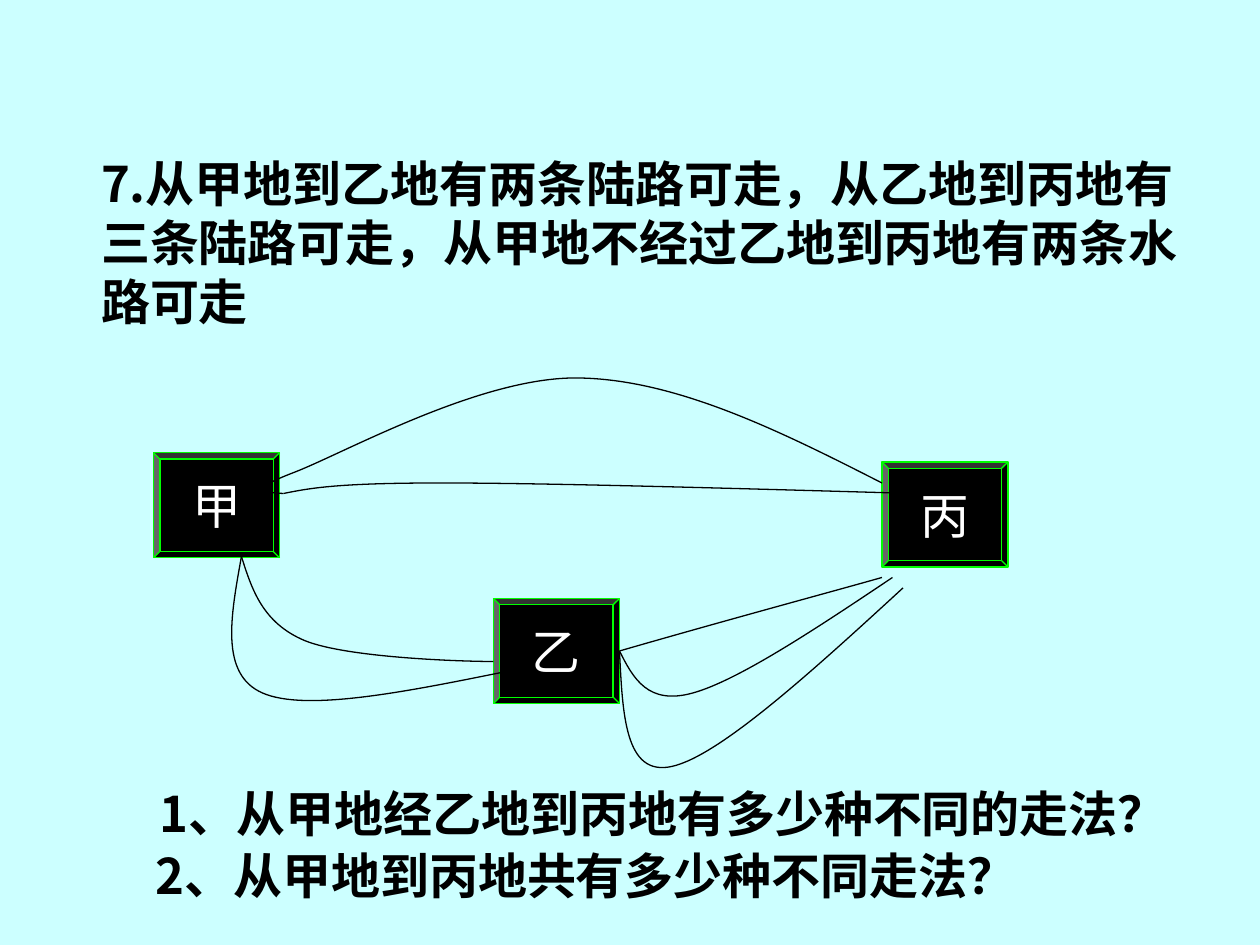
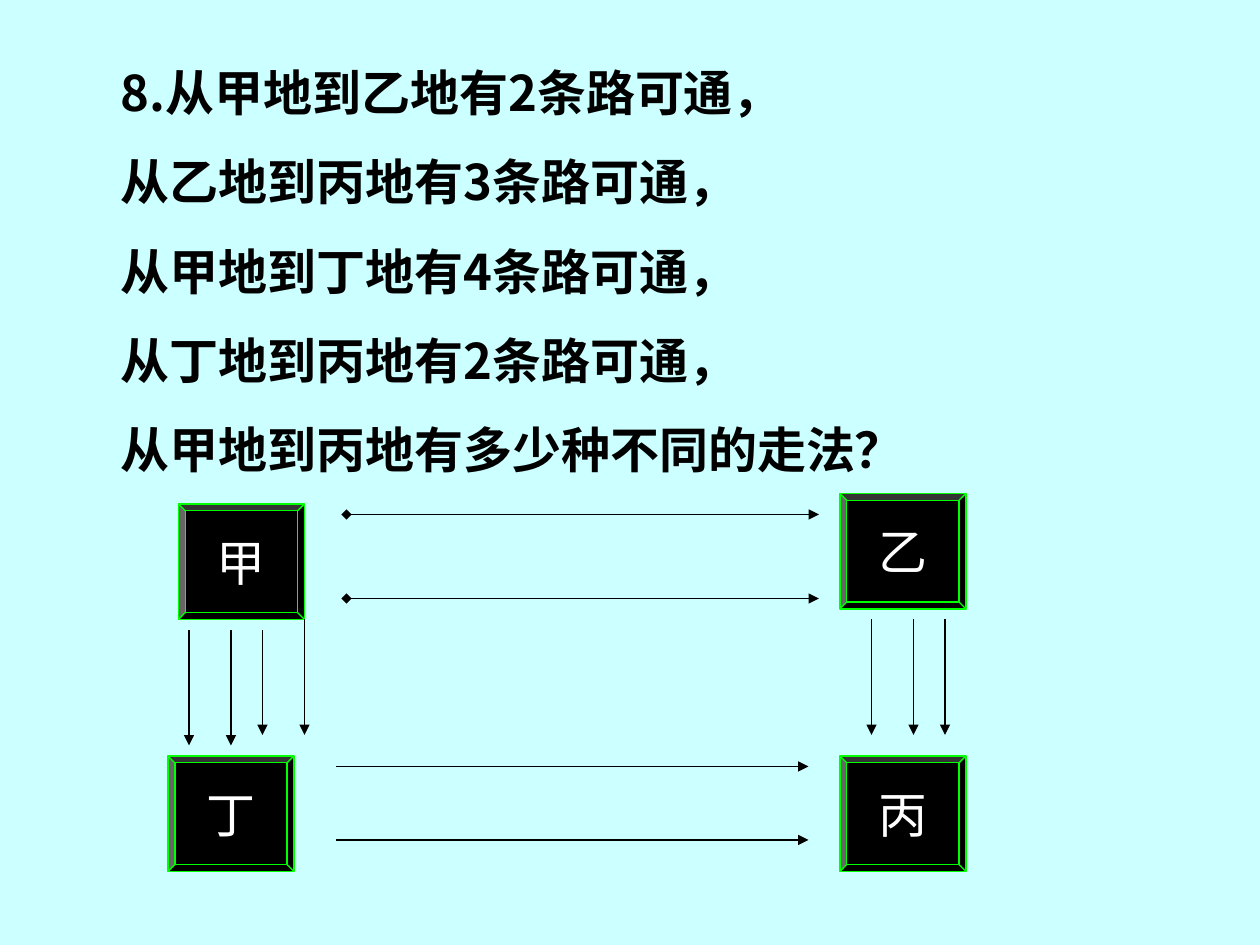
from dataclasses import dataclass

from lxml.etree import SubElement
from pptx import Presentation
from pptx.dml.color import RGBColor
from pptx.enum.shapes import MSO_CONNECTOR, MSO_SHAPE
from pptx.enum.text import MSO_ANCHOR, MSO_AUTO_SIZE, PP_ALIGN
from pptx.oxml.ns import qn
from pptx.util import Cm, Pt


@dataclass(frozen=True)
class Theme:
    background: RGBColor = RGBColor(0xCC, 0xFF, 0xFF)
    ink: RGBColor = RGBColor(0, 0, 0)
    place_text: RGBColor = RGBColor(0xFF, 0xFF, 0xFF)
    place_edge: RGBColor = RGBColor(0, 0xFF, 0)
    text_font: str = "Noto Sans CJK SC"
    place_font: str = "Times New Roman"
    text_size: Pt = Pt(28)
    paragraph_gap: Pt = Pt(17.5)
    line_width: Pt = Pt(0.75)
    bevel: float = 0.06


THEME = Theme()
PLACE_WIDTH = 12


def grid(units):
    """Diagrams lie on a grid of 120 by 90 units over the slide."""
    return Cm(units * 25.4 / 120)


def write_text(frame, *lines, font=THEME.text_font, color=THEME.ink,
               bold=False, align=PP_ALIGN.LEFT):
    for index, line in enumerate(lines):
        paragraph = frame.paragraphs[0] if index == 0 else frame.add_paragraph()
        paragraph.alignment = align
        if index:
            paragraph.space_before = THEME.paragraph_gap
        run = paragraph.add_run()
        run.text = line
        run.font.name = font
        run.font.size = THEME.text_size
        run.font.bold = bold
        run.font.color.rgb = color
        # East Asian typeface for the Chinese characters
        east_asian = SubElement(run._r.get_or_add_rPr(), qn("a:ea"))
        east_asian.set("typeface", THEME.text_font)


def style_line(line, color=THEME.ink):
    line.color.rgb = color
    line.width = THEME.line_width


def add_slide(presentation):
    slide = presentation.slides.add_slide(presentation.slide_layouts[6])
    slide.background.fill.solid()
    slide.background.fill.fore_color.rgb = THEME.background
    return slide


def add_question(slide, left, top, width, height, *lines):
    box = slide.shapes.add_textbox(Cm(left), Cm(top), Cm(width), Cm(height))
    frame = box.text_frame
    frame.word_wrap = True
    frame.auto_size = MSO_AUTO_SIZE.SHAPE_TO_FIT_TEXT
    write_text(frame, *lines, bold=True)


def add_place(slide, name, left, top, height):
    shape = slide.shapes.add_shape(
        MSO_SHAPE.BEVEL, grid(left), grid(top), grid(PLACE_WIDTH), grid(height))
    shape.adjustments[0] = THEME.bevel
    shape.shadow.inherit = False
    shape.fill.solid()
    shape.fill.fore_color.rgb = THEME.ink
    style_line(shape.line, THEME.place_edge)
    frame = shape.text_frame
    frame.word_wrap = False
    frame.vertical_anchor = MSO_ANCHOR.MIDDLE
    write_text(frame, name, font=THEME.place_font, color=THEME.place_text,
               align=PP_ALIGN.CENTER)


def bend(shape):
    """Turn every three straight segments into one cubic curve."""
    segments = list(shape._element.iter(qn("a:lnTo")))
    for first in range(0, len(segments), 3):
        curve, *others = segments[first:first + 3]
        curve.tag = qn("a:cubicBezTo")
        for segment in others:
            curve.append(segment[0])
            segment.getparent().remove(segment)


def add_route(slide, *controls):
    """Draw joined cubic curves; each one starts where the last one ended."""
    start, *points = [(grid(x), grid(y)) for x, y in controls]
    builder = slide.shapes.build_freeform(*start)
    builder.add_line_segments(points, close=False)
    shape = builder.convert_to_shape()
    bend(shape)
    shape.shadow.inherit = False
    shape.fill.background()
    style_line(shape.line)


def add_arrow(slide, start_x, start_y, end_x, end_y, head=None):
    connector = slide.shapes.add_connector(
        MSO_CONNECTOR.STRAIGHT,
        grid(start_x), grid(start_y), grid(end_x), grid(end_y))
    style_line(connector.line)
    line = connector.line._get_or_add_ln()
    if head:
        SubElement(line, qn("a:headEnd")).set("type", head)
    SubElement(line, qn("a:tailEnd")).set("type", "triangle")
    SubElement(connector._element.spPr, qn("a:effectLst"))


def build_land_and_water(presentation):
    slide = add_slide(presentation)
    add_question(slide, 1.79, 2.97, 22.91, 6.2,
                 "7.从甲地到乙地有两条陆路可走，从乙地到丙地有三条陆路可走，"
                 "从甲地不经过乙地到丙地有两条水路可走")

    for name, left, top in (("甲", 14.63, 43.12), ("乙", 47, 57),
                            ("丙", 84, 44)):
        add_place(slide, name, left, top, 10)

    # Land routes from 甲 to 乙
    leave_jia = (23, 53)
    add_route(slide, leave_jia, (24, 56.15), (25, 59.3), (29, 61),
              (33, 62.65), (44, 63), (47, 63))
    add_route(slide, leave_jia, (22, 58.6), (20.9, 64.2), (25, 66),
              (29.1, 67.8), (38.6, 65.9), (48, 64))

    # Land routes from 乙 to 丙
    leave_yi = (59, 62)
    add_route(slide, leave_yi, (69.4, 59), (79.8, 56.2), (84, 55))
    add_route(slide, leave_yi, (60.3, 64.6), (61.7, 67.2), (66, 66),
              (70.3, 64.8), (77.7, 59.9), (85, 55))
    add_route(slide, leave_yi, (59.3, 68), (59.5, 74), (64, 73),
              (68.5, 72), (77.3, 64), (86, 56))

    # Water routes from 甲 to 丙
    leave_shore = (27, 47)
    add_route(slide, leave_shore, (29.5, 46.5), (32, 46), (42, 46),
              (52, 46), (69.5, 46.5), (87, 47))
    add_route(slide, leave_shore, (25.2, 46.9), (23.3, 46.8), (28, 45),
              (32.7, 43.2), (45.7, 35.9), (55, 36),
              (64.3, 36.1), (74.2, 41), (84, 46))

    add_question(slide, 2.96, 15.68, 21.13, 1.44,
                 "1、从甲地经乙地到丙地有多少种不同的走法？")
    add_question(slide, 2.89, 16.91, 18.21, 1.44,
                 "2、从甲地到丙地共有多少种不同走法？")


def build_four_places(presentation):
    slide = add_slide(presentation)
    add_question(slide, 2.19, 1.13, 22.43, 15.88,
                 "8.从甲地到乙地有2条路可通，",
                 "从乙地到丙地有3条路可通，",
                 "从甲地到丁地有4条路可通，",
                 "从丁地到丙地有2条路可通，",
                 "从甲地到丙地有多少种不同的走法？")

    for name, left, top in (("甲", 17, 48), ("乙", 80, 47),
                            ("丁", 16, 72), ("丙", 80, 72)):
        add_place(slide, name, left, top, 11)

    # Roads across: 甲 to 乙, then 丁 to 丙
    for left, top, head in ((33, 49, "diamond"), (33, 57, "diamond"),
                            (32, 73, None), (32, 80, None)):
        add_arrow(slide, left, top, left + 45, top, head)

    # Roads down: 甲 to 丁, then 乙 to 丙
    for x, top, bottom in ((18, 60, 71), (22, 60, 71),
                           (25, 60, 70), (29, 59, 70)):
        add_arrow(slide, x, top, x, bottom)
    for x in (83, 87, 90):
        add_arrow(slide, x, 59, x, 70)


def main():
    presentation = Presentation()
    presentation.slide_width = Cm(25.4)
    presentation.slide_height = Cm(19.05)
    build_land_and_water(presentation)
    build_four_places(presentation)
    presentation.save("out.pptx")


if __name__ == "__main__":
    main()
